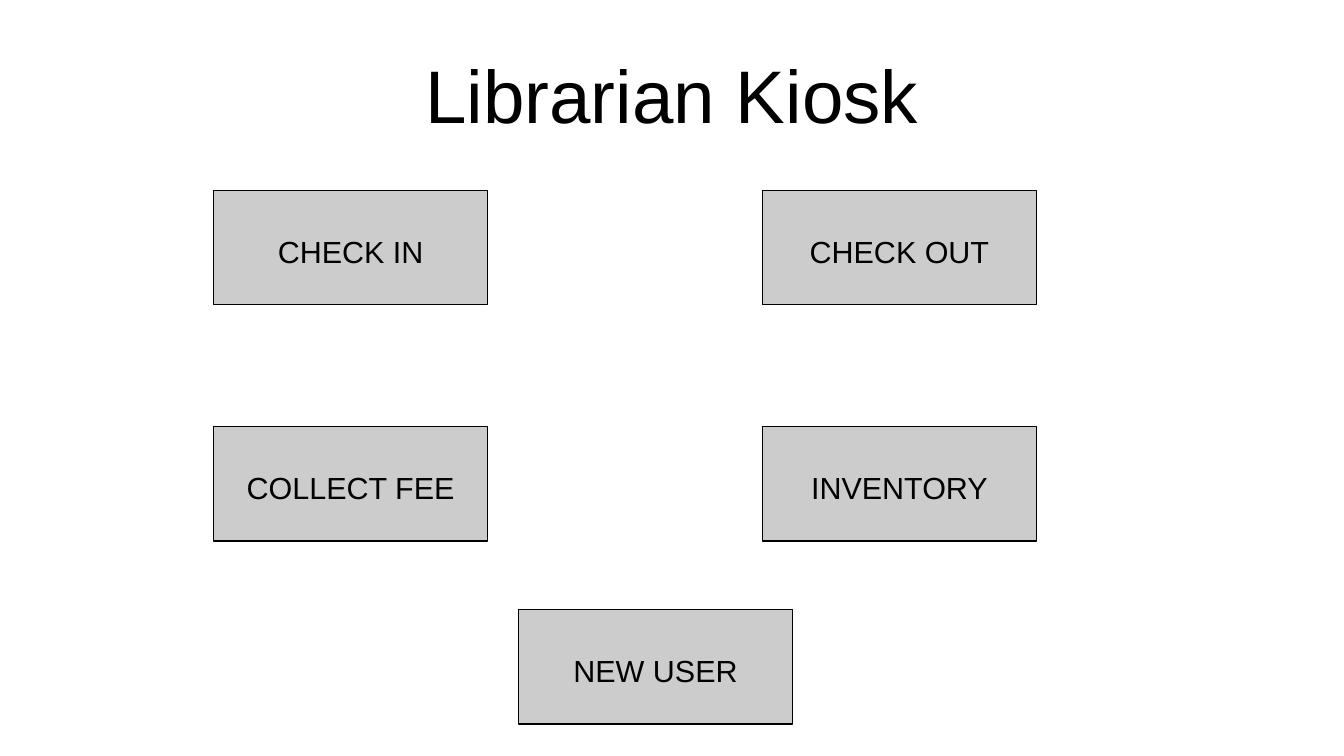
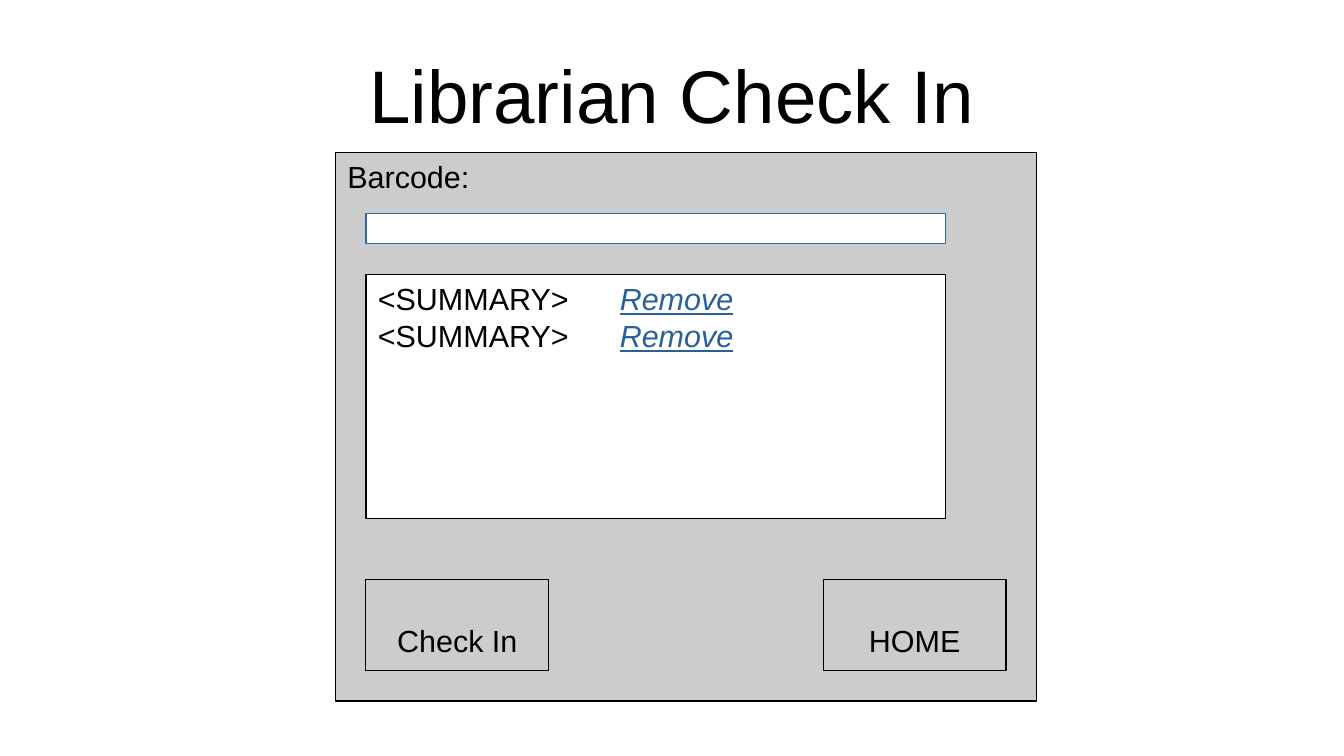
from itertools import product

from lxml import etree
from pptx import Presentation
from pptx.dml.color import RGBColor
from pptx.enum import shapes, text
from pptx.oxml.ns import qn
from pptx.util import Pt

SLIDE_WIDTH, SLIDE_HEIGHT = 793.44, 446.4
BLACK, WHITE, GRAY = "000000", "FFFFFF", "CCCCCC"
LINK_BLUE, FIELD_BLUE = "2A6099", "3465A4"
LEFT, CENTER = text.PP_ALIGN.LEFT, text.PP_ALIGN.CENTER


def color(value):
    return RGBColor.from_string(value)


class Mockup:
    """Holds the shared style and the slide being drawn."""

    font_name = "Arial"
    title_size = 44
    body_size = 18
    button_top_inset = 25
    link_tab = 142.8

    def __init__(self):
        self.presentation = Presentation()
        self.presentation.slide_width = Pt(SLIDE_WIDTH)
        self.presentation.slide_height = Pt(SLIDE_HEIGHT)
        self.slide = None

    def new_slide(self, title):
        blank = self.presentation.slide_layouts[6]
        self.slide = self.presentation.slides.add_slide(blank)
        margin = 39.6
        box = self.slide.shapes.add_textbox(
            Pt(margin), Pt(18), Pt(SLIDE_WIDTH - 2 * margin), Pt(74.88))
        frame = box.text_frame
        frame.word_wrap = True
        frame.vertical_anchor = text.MSO_ANCHOR.MIDDLE
        frame.margin_left = frame.margin_right = Pt(0)
        frame.margin_top = frame.margin_bottom = Pt(0)
        self.set_text(frame.paragraphs[0], title, self.title_size, CENTER)

    def set_text(self, paragraph, words, size=body_size, align=LEFT):
        paragraph.alignment = align
        paragraph.font.name = self.font_name
        paragraph.font.size = Pt(size)
        paragraph.font.color.rgb = color(BLACK)
        paragraph.add_run().text = words

    def rectangle(self, left, top, width, height, fill=GRAY, line=BLACK):
        shape = self.slide.shapes.add_shape(
            shapes.MSO_SHAPE.RECTANGLE, Pt(left), Pt(top), Pt(width), Pt(height))
        shape.shadow.inherit = False
        shape.fill.solid()
        shape.fill.fore_color.rgb = color(fill)
        shape.line.color.rgb = color(line)
        shape.line.width = Pt(0)
        shape.text_frame.vertical_anchor = text.MSO_ANCHOR.TOP
        return shape

    def button(self, label, left, top, width, height):
        frame = self.rectangle(left, top, width, height).text_frame
        frame.margin_top = Pt(self.button_top_inset)
        self.set_text(frame.paragraphs[0], label, align=CENTER)

    def panel(self, label, left, top, width, height):
        frame = self.rectangle(left, top, width, height).text_frame
        self.set_text(frame.paragraphs[0], label)

    def link_list(self, rows, left, top, width, height):
        """White box whose rows are a label and a link at a tab stop."""
        frame = self.rectangle(left, top, width, height, WHITE).text_frame
        for index, (label, link) in enumerate(rows):
            paragraph = frame.add_paragraph() if index else frame.paragraphs[0]
            self.set_text(paragraph, label + "\t")
            properties = paragraph._p.get_or_add_pPr()
            tabs = etree.Element(qn("a:tabLst"))
            etree.SubElement(tabs, qn("a:tab"), pos=str(Pt(self.link_tab)), algn="l")
            properties.insert(0, tabs)
            run = paragraph.add_run()
            run.text = link
            run.font.italic = run.font.underline = True
            run.font.color.rgb = color(LINK_BLUE)


def draw_kiosk(mockup):
    mockup.new_slide("Librarian Kiosk")
    size = 162, 67.5
    labels = "CHECK IN", "CHECK OUT", "COLLECT FEE", "INVENTORY"
    for label, (top, left) in zip(labels, product((112.5, 252), (126, 450))):
        mockup.button(label, left, top, *size)
    mockup.button("NEW USER", 306, 360, *size)


def draw_check_in(mockup):
    mockup.new_slide("Librarian Check In")
    left, field_width = 216, 342
    mockup.panel("Barcode:", 198, 90, 414, 324)
    mockup.rectangle(left, 126, field_width, 18, WHITE, FIELD_BLUE)
    mockup.link_list([("<SUMMARY>", "Remove")] * 2, left, 162, field_width, 144)
    for label, button_left in (("Check In", left), ("HOME", 486)):
        mockup.button(label, button_left, 342, 108, 54)


def main():
    mockup = Mockup()
    draw_kiosk(mockup)
    draw_check_in(mockup)
    mockup.presentation.save("out.pptx")


if __name__ == "__main__":
    main()
